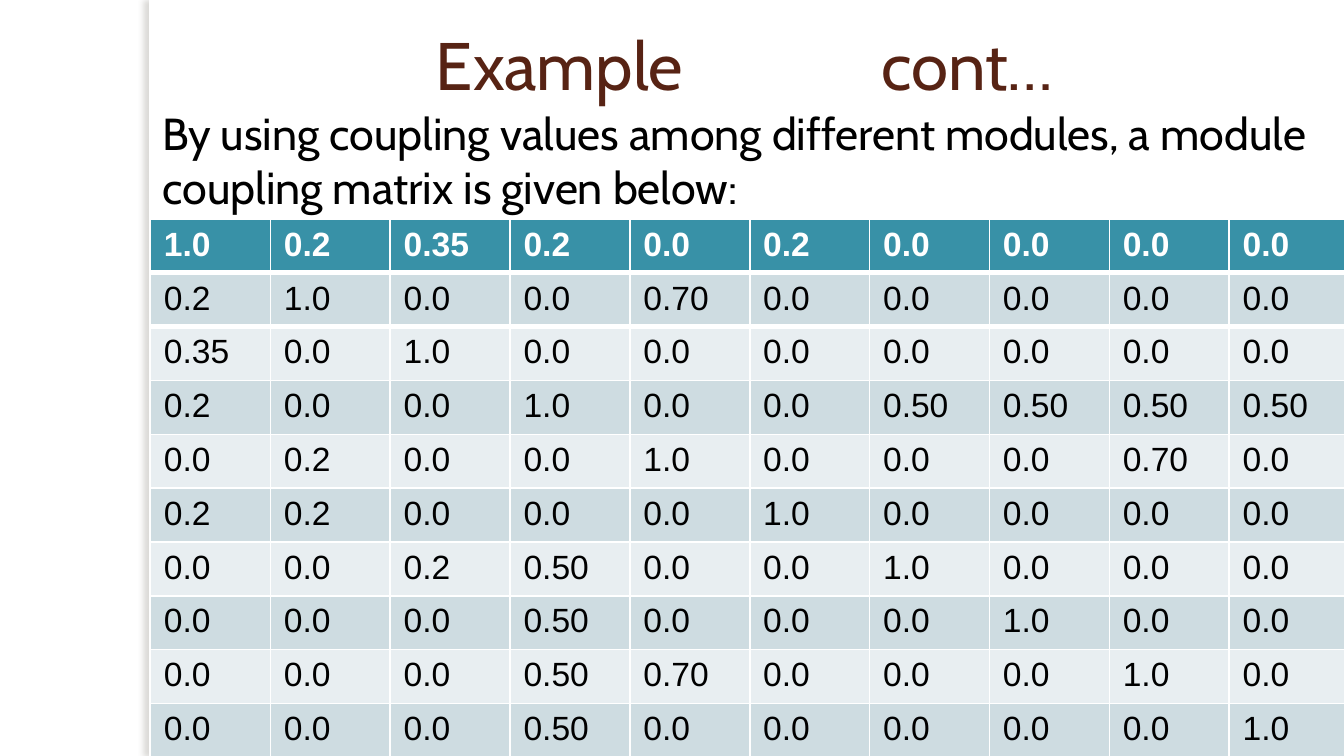
"""Build the module coupling matrix slide."""
from lxml import etree
from pptx import Presentation
from pptx import util as u
from pptx.dml.color import RGBColor
from pptx.enum import shapes, text
from pptx.oxml import ns

WHITE = RGBColor(0xFF, 0xFF, 0xFF)
BLACK = RGBColor(0, 0, 0)
BROWN = RGBColor(0x57, 0x23, 0x14)
TEAL = RGBColor(0x38, 0x91, 0xA7)
BAND_DARK = RGBColor(0xCE, 0xDC, 0xE1)
BAND_LIGHT = RGBColor(0xE8, 0xEE, 0xF1)
SHADOW = RGBColor(0x73, 0x6F, 0x63)

MATRIX = """
1.0 0.2 0.35 0.2 0.0 0.2 0.0 0.0 0.0 0.0
0.2 1.0 0.0 0.0 0.70 0.0 0.0 0.0 0.0 0.0
0.35 0.0 1.0 0.0 0.0 0.0 0.0 0.0 0.0 0.0
0.2 0.0 0.0 1.0 0.0 0.0 0.50 0.50 0.50 0.50
0.0 0.2 0.0 0.0 1.0 0.0 0.0 0.0 0.70 0.0
0.2 0.2 0.0 0.0 0.0 1.0 0.0 0.0 0.0 0.0
0.0 0.0 0.2 0.50 0.0 0.0 1.0 0.0 0.0 0.0
0.0 0.0 0.0 0.50 0.0 0.0 0.0 1.0 0.0 0.0
0.0 0.0 0.0 0.50 0.70 0.0 0.0 0.0 1.0 0.0
0.0 0.0 0.0 0.50 0.0 0.0 0.0 0.0 0.0 1.0
"""


def add_run(p, words, size=18, font="Arial", color=BLACK, bold=False, spacing=0):
    r = p.add_run()
    r.text = words
    r.font.size = u.Pt(size)
    r.font.name = font
    r.font.color.rgb = color
    r.font.bold = bold
    if spacing:
        r.font._element.set("spc", str(spacing * 100))


def add_border(cell, side, width):
    line = etree.Element(ns.qn(f"a:{side}"), w=str(u.Pt(width)))
    fill = etree.SubElement(line, ns.qn("a:solidFill"))
    etree.SubElement(fill, ns.qn("a:srgbClr"), val=str(WHITE))
    cell._tc.get_or_add_tcPr().insert(0, line)


prs = Presentation()
prs.slide_width = u.Inches(10)
prs.slide_height = prs.slide_width * 9 // 16
s = prs.slides.add_slide(prs.slide_layouts[6])

sp = s.shapes.add_shape(shapes.MSO_SHAPE.RECTANGLE, u.Inches(1.11), 0,
                        u.Inches(0.08), prs.slide_height)
sp.fill.solid()
sp.fill.fore_color.rgb = WHITE
sp.line.fill.background()
sp.shadow.inherit = False
effects = sp._element.spPr.find(ns.qn("a:effectLst"))
shadow = etree.SubElement(effects, ns.qn("a:outerShdw"), blurRad=str(u.Pt(3)),
                          dist=str(u.Pt(3)), dir=str(180 * 60000),
                          algn="tl", rotWithShape="0")
color = etree.SubElement(shadow, ns.qn("a:srgbClr"), val=str(SHADOW))
etree.SubElement(color, ns.qn("a:alpha"), val="25000")

sp = s.shapes.add_textbox(u.Inches(1.08), 0, u.Inches(8.92), u.Inches(0.94))
tf = sp.text_frame
tf.word_wrap = True
tf.vertical_anchor = text.MSO_ANCHOR.MIDDLE
p = tf.paragraphs[0]
p.alignment = text.PP_ALIGN.CENTER
for words, spacing in (("Example", 0), (" ", 98), ("cont…", 0)):
    add_run(p, words, size=36, font="Cabin", color=BROWN, spacing=spacing)

sp = s.shapes.add_textbox(u.Inches(1.11), u.Inches(0.74), u.Inches(8.92), u.Inches(0.91))
tf = sp.text_frame
tf.word_wrap = True
tf.auto_size = text.MSO_AUTO_SIZE.SHAPE_TO_FIT_TEXT
add_run(tf.paragraphs[0], "By using coupling values among different modules, "
        "a module coupling matrix is given below:", size=24, font="Cabin")

rows = [line.split() for line in MATRIX.strip().splitlines()]
table = s.shapes.add_table(len(rows), len(rows[0]), u.Inches(1.12), u.Inches(1.63),
                           u.Inches(8.92), u.Inches(4)).table
for i, row in enumerate(rows):
    header = i == 0
    band = BAND_DARK if i % 2 else BAND_LIGHT
    for j, value in enumerate(row):
        cell = table.cell(i, j)
        cell.fill.solid()
        cell.fill.fore_color.rgb = TEAL if header else band
        add_run(cell.text_frame.paragraphs[0], value,
                color=WHITE if header else BLACK, bold=header)
        if header:
            add_border(cell, "lnB", 3)
        elif i == 1:
            add_border(cell, "lnT", 3)

prs.save("out.pptx")
